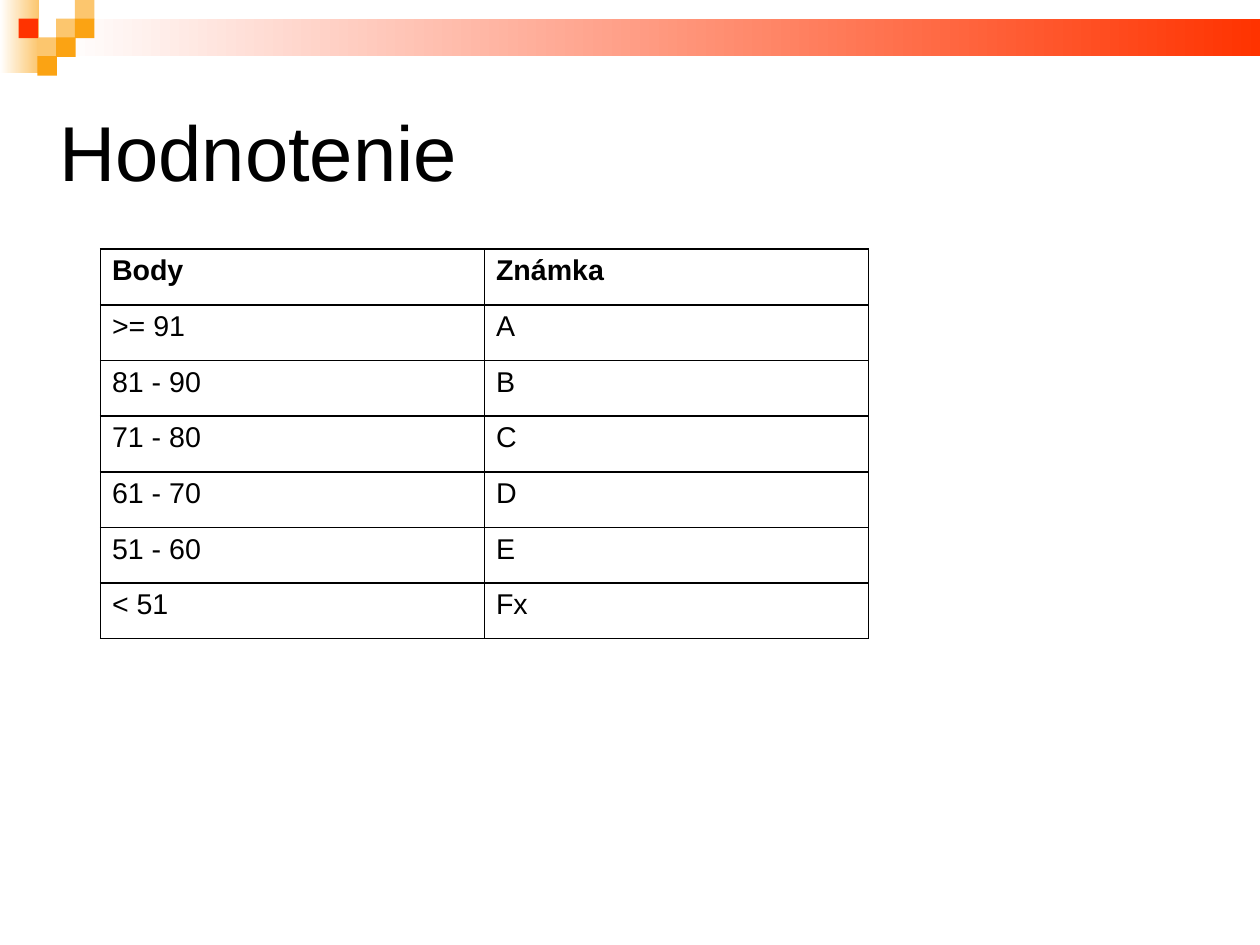
from lxml.etree import SubElement
from pptx import Presentation
from pptx.dml.color import RGBColor
from pptx.enum.shapes import MSO_SHAPE
from pptx.enum.text import MSO_ANCHOR, PP_ALIGN
from pptx.oxml.ns import qn
from pptx.util import Cm, Inches, Pt

# Content
TITLE = "Hodnotenie"
GRADES = [
    ("Body", "Známka"),
    (">= 91", "A"),
    ("81 - 90", "B"),
    ("71 - 80", "C"),
    ("61 - 70", "D"),
    ("51 - 60", "E"),
    ("< 51", "Fx"),
]

# Look: the corner mosaic is a grid of small squares
SLIDE_WIDTH, SLIDE_HEIGHT = Cm(28), Cm(21)
WIDTH, HEIGHT = SLIDE_WIDTH.inches, SLIDE_HEIGHT.inches
FONT = "Arial"
BLACK, WHITE = "000000", "FFFFFF"
RED, ORANGE, PEACH = "FF3300", "FBA313", "FCC66E"
STEP, TILE = 0.164, 0.17
TILES = [  # column, row, colour
    (3, 1, PEACH), (4, 0, PEACH), (4, 1, ORANGE), (2, 2, PEACH),
    (1, 1, RED), (3, 2, ORANGE), (2, 3, ORANGE),
]
COLUMN, ROW = 3.36, 3.41 / len(GRADES)


def rgb(colour):
    return RGBColor.from_string(colour)


def add_block(left, top, width, height, colour, fade=False):
    """Add a borderless rectangle, plain or fading in from white."""
    block = page.shapes.add_shape(
        MSO_SHAPE.RECTANGLE, *map(Inches, (left, top, width, height)))
    block.shadow.inherit = False
    block.line.fill.background()
    if fade:
        block.fill.gradient()
        block.fill.gradient_angle = 0
        for stop, shade in zip(block.fill.gradient_stops, (WHITE, colour)):
            stop.color.rgb = rgb(shade)
    else:
        block.fill.solid()
        block.fill.fore_color.rgb = rgb(colour)


def write(frame, text, size, bold=False):
    span = frame.paragraphs[0].add_run()
    span.text = text
    span.font.name, span.font.size, span.font.bold = FONT, Pt(size), bold
    span.font.color.rgb = rgb(BLACK)


def add_borders(cell):
    properties = cell._tc.get_or_add_tcPr()
    for side in ("a:lnL", "a:lnR", "a:lnT", "a:lnB"):
        line = SubElement(properties, qn(side), w=str(Pt(1)))
        fill = SubElement(line, qn("a:solidFill"))
        SubElement(fill, qn("a:srgbClr"), val=BLACK)


deck = Presentation()
deck.slide_width, deck.slide_height = SLIDE_WIDTH, SLIDE_HEIGHT
page = deck.slides.add_slide(deck.slide_layouts[5])

# Header band and mosaic
add_block(0, 0, 0.34, 0.64, PEACH, fade=True)
add_block(0.5, STEP, WIDTH - 0.5, 0.33, RED, fade=True)
for column, row, colour in TILES:
    add_block(column * STEP, row * STEP, TILE, TILE, colour)

# Title
title = page.shapes.title
title.left, title.top = Inches(0.52), Inches(0.49)
title.width, title.height = Inches(0.9 * WIDTH), Inches(0.2 * HEIGHT)
frame = title.text_frame
frame.margin_left = frame.margin_right = frame.margin_top = frame.margin_bottom = 0
frame.vertical_anchor = MSO_ANCHOR.MIDDLE
frame.paragraphs[0].alignment = PP_ALIGN.LEFT
write(frame, TITLE, 49)

# Grade table
table = page.shapes.add_table(
    len(GRADES), 2, Inches(0.88), Inches(2.18),
    Inches(2 * COLUMN), Inches(ROW * len(GRADES))).table
table.first_row = table.horz_banding = False
for row, grade in enumerate(GRADES):
    for column, text in enumerate(grade):
        cell = table.cell(row, column)
        add_borders(cell)
        cell.fill.background()
        write(cell.text_frame, text, 18, bold=row == 0)

deck.save("out.pptx")
